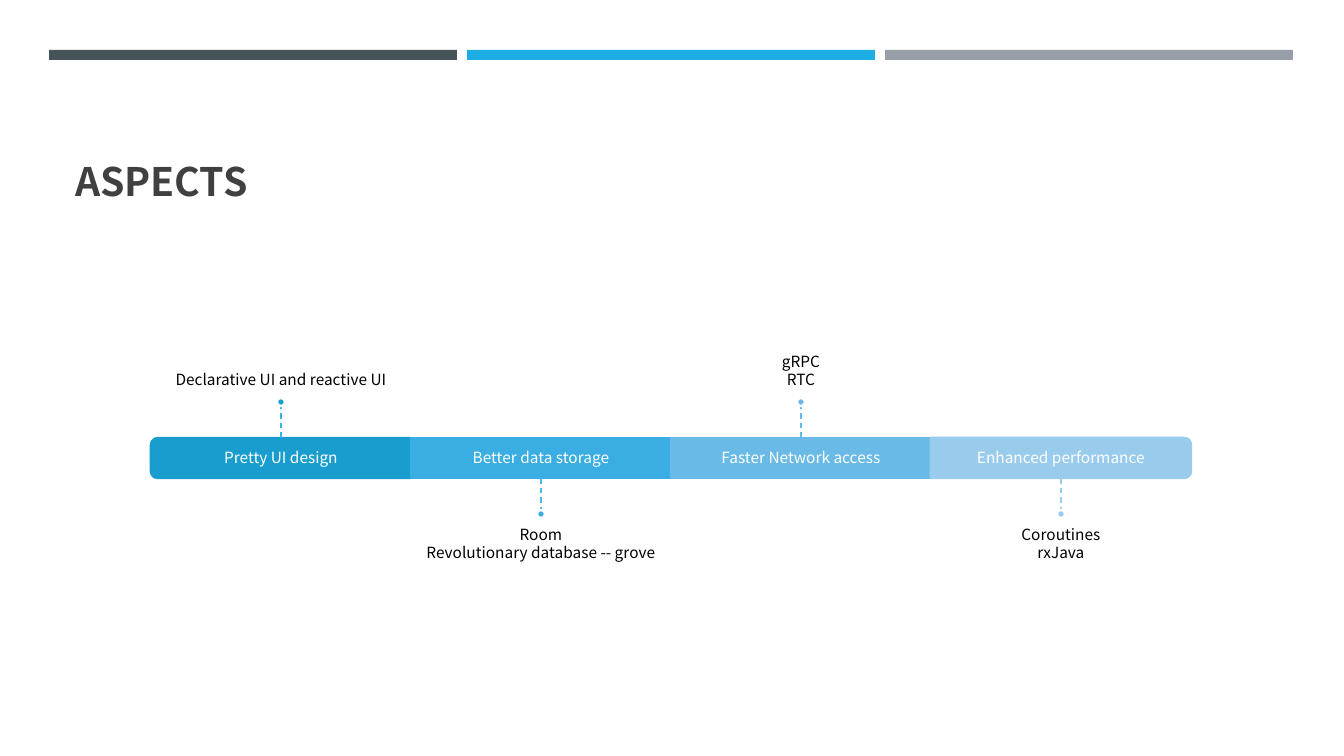
import pptx
import pptx.util
import pptx.dml.color
import pptx.enum.dml
import pptx.enum.shapes
import pptx.enum.text
import pptx.oxml.ns
from lxml import etree

PX = 914400 / 100.8
FONT = "Noto Sans CJK SC"
SHAPE = pptx.enum.shapes.MSO_SHAPE
ANCHOR = pptx.enum.text.MSO_ANCHOR
ALIGN = pptx.enum.text.PP_ALIGN
COLORS = {
    "title": "404040", "text": "000000", "white": "FFFFFF",
    "bar_dark": "465359", "bar_blue": "1CADE4", "bar_grey": "969FA7",
    "ui": "199DCF", "ui_stem": "36B3E9",
    "data": "3AADE3", "data_stem": "48B8EC",
    "network": "6ABAE7", "network_stem": "5ABEEF",
    "speed": "99CBEC", "speed_stem": "98CBEC",
}
# key, heading, notes, rotation of the rounded end (0 for a plain middle part)
ASPECTS = [
    ("ui", "Pretty UI design", ["Declarative UI and reactive UI"], 270),
    ("data", "Better data storage",
     ["Room", "Revolutionary database -- grove"], 0),
    ("network", "Faster Network access", ["gRPC", "RTC"], 0),
    ("speed", "Enhanced performance", ["Coroutines", "rxJava"], 90),
]
NOTE_W, NOTE_H, STEM, DOT, INSET = 434, 140, 32, 8, 9


def px(*lengths):
    return [pptx.util.Emu(round(n * PX)) for n in lengths]


def rgb(name):
    return pptx.dml.color.RGBColor.from_string(COLORS[name])


def add_block(slide, kind, box, fill, line=None):
    sp = slide.shapes.add_shape(kind, *px(*box))
    sp.shadow.inherit = False
    sp.fill.solid()
    sp.fill.fore_color.rgb = rgb(fill)
    if line:
        sp.line.color.rgb = rgb(line)
        sp.line.width = pptx.util.Pt(1.75)
    else:
        sp.line.fill.background()
    return sp


def add_text(slide, box, lines, color, anchor, insets):
    """Centred text; insets are left, top, right, bottom."""
    tf = slide.shapes.add_textbox(*px(*box)).text_frame
    tf.word_wrap = True
    tf.vertical_anchor = anchor
    (tf.margin_left, tf.margin_top,
     tf.margin_right, tf.margin_bottom) = px(*insets)
    tf.text = "\n".join(lines)
    for p in tf.paragraphs:
        p.alignment = ALIGN.CENTER
        p.line_spacing = 0.9
        p.space_after = pptx.util.Pt(1.4)
        p.font.size = pptx.util.Pt(11)
        p.font.name = FONT
        p.font.color.rgb = rgb(color)


def add_stem(slide, x, y1, y2, color):
    c = slide.shapes.add_connector(
        pptx.enum.shapes.MSO_CONNECTOR.STRAIGHT, *px(x, y1, x, y2))
    c.line.color.rgb = rgb(color)
    c.line.width = pptx.util.Pt(1)
    c.line.dash_style = pptx.enum.dml.MSO_LINE.DASH
    etree.SubElement(c._element.spPr, pptx.oxml.ns.qn("a:effectLst"))
    return c


def add_top_bars(slide, left, top, width, height):
    gap = 10
    bar_w = (width - 2 * gap) // 3
    for i, color in enumerate(["bar_dark", "bar_blue", "bar_grey"]):
        add_block(slide, SHAPE.RECTANGLE,
                  (left + i * (bar_w + gap), top, bar_w, height), color)


def add_title(slide, left, top, width, height):
    title = slide.shapes.title
    title.left, title.top, title.width, title.height = px(
        left, top, width, height)
    tf = title.text_frame
    tf.text = "ASPECTS"
    tf.auto_size = pptx.enum.text.MSO_AUTO_SIZE.NONE
    tf.vertical_anchor = ANCHOR.BOTTOM
    p = tf.paragraphs[0]
    p.alignment = ALIGN.LEFT
    p.font.size = pptx.util.Pt(28)
    p.font.bold = True
    p.font.name = FONT
    p.font.color.rgb = rgb("title")


def add_aspect(slide, box, aspect, above):
    """One band part with its heading, and its notes above or below."""
    left, top, width, height = box
    key, heading, notes, rotation = aspect
    mid_x, mid_y = left + width / 2, top + height / 2
    if rotation:
        upright = (mid_x - height / 2, mid_y - width / 2, height, width)
        part = add_block(slide, SHAPE.ROUND_2_SAME_RECTANGLE, upright, key, key)
        part.rotation = rotation
    else:
        part = add_block(slide, SHAPE.RECTANGLE, box, key, key)
    add_text(slide, box, [heading], "white", ANCHOR.MIDDLE, [INSET] * 4)

    if above:
        edge, stem_end = top, top - STEM
        dot_top = stem_end - DOT
        note_top = dot_top - NOTE_H
        anchor, insets = ANCHOR.BOTTOM, (0, 0, 0, INSET)
    else:
        edge, stem_end = top + height, top + height + STEM
        dot_top = stem_end
        note_top = dot_top + DOT
        anchor, insets = ANCHOR.TOP, (0, INSET, 0, 0)
    add_text(slide, (mid_x - NOTE_W / 2, note_top, NOTE_W, NOTE_H),
             notes, "text", anchor, insets)
    stem = add_stem(slide, mid_x, edge, stem_end, key + "_stem")
    if not rotation:
        stem.begin_connect(part, 0 if above else 2)
    add_block(slide, SHAPE.OVAL, (mid_x - DOT / 2, dot_top, DOT, DOT),
              key, "white")


def add_band(slide, left, top, width, height):
    part_w = width // len(ASPECTS)
    for i, aspect in enumerate(ASPECTS):
        add_aspect(slide, (left + i * part_w, top, part_w, height),
                   aspect, above=i % 2 == 0)


def main():
    prs = pptx.Presentation()
    prs.slide_width, prs.slide_height = px(1344, 756)
    slide = prs.slides.add_slide(prs.slide_layouts[5])
    add_top_bars(slide, 49, 50, 1245, 10)
    add_title(slide, 65, 78, 1216, 131)
    add_band(slide, 151, 438, 1041, 40)
    prs.save("out.pptx")


if __name__ == "__main__":
    main()
